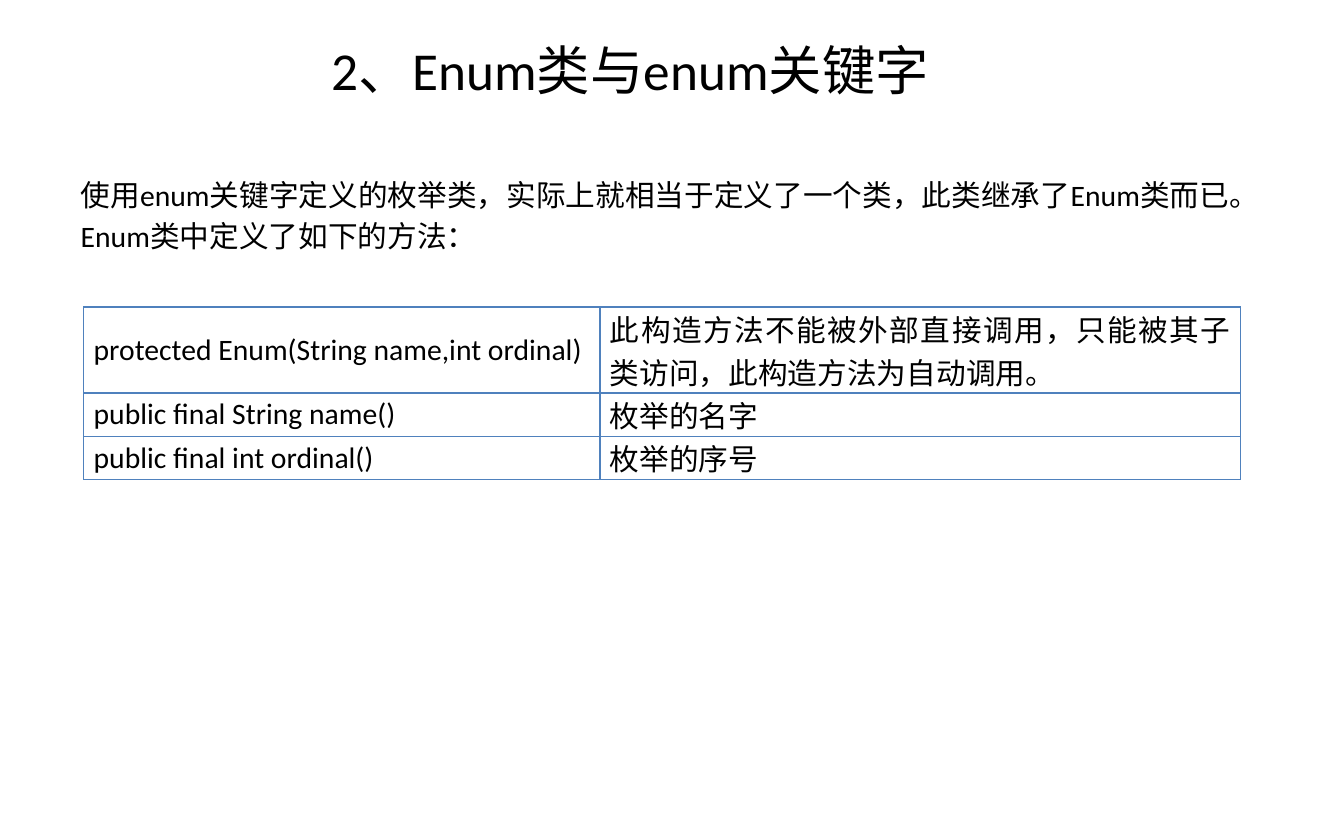
from lxml.etree import SubElement
from pptx import Presentation
from pptx.dml.color import RGBColor
from pptx.enum.text import MSO_ANCHOR, PP_ALIGN
from pptx.oxml.ns import qn
from pptx.util import Emu, Pt

BLACK = RGBColor(0x00, 0x00, 0x00)
WHITE = RGBColor(0xFF, 0xFF, 0xFF)
BLUE = RGBColor(0x4F, 0x81, 0xBD)

TITLE = "2、Enum类与enum关键字"
BODY = [
    "使用enum关键字定义的枚举类，实际上就相当于定义了一个类，此类继承了Enum类而已。",
    "Enum类中定义了如下的方法：",
]
METHODS = [
    ("protected Enum(String name,int ordinal)",
     "此构造方法不能被外部直接调用，只能被其子类访问，此构造方法为自动调用。"),
    ("public final String name()", "枚举的名字"),
    ("public final int ordinal()", "枚举的序号"),
]


def px(n):
    return Emu(n * 3175)


class SlideBuilder:
    font = "Calibri"

    def __init__(self, prs):
        self.s = prs.slides.add_slide(prs.slide_layouts[6])
        self.s.background.fill.solid()
        self.s.background.fill.fore_color.rgb = WHITE

    def run(self, p, text, size, align):
        p.alignment = align
        r = p.add_run()
        r.text = text
        r.font.name = self.font
        r.font.size = Pt(size)
        r.font.color.rgb = BLACK

    def text(self, box, lines, size, align=PP_ALIGN.LEFT,
             anchor=MSO_ANCHOR.TOP, hanging=0):
        sp = self.s.shapes.add_textbox(*map(px, box))
        tf = sp.text_frame
        tf.word_wrap = True
        tf.vertical_anchor = anchor
        tf.margin_left = tf.margin_right = px(37)
        tf.margin_top = tf.margin_bottom = px(19)
        for i, line in enumerate(lines):
            p = tf.add_paragraph() if i else tf.paragraphs[0]
            self.run(p, line, size, align)
            if i:
                p.space_before = Pt(size * 0.2)
            if hanging:
                pPr = p._p.get_or_add_pPr()
                pPr.set("marL", str(px(hanging)))
                pPr.set("indent", str(-px(hanging)))

    def border(self, cell):
        tcPr = cell._tc.get_or_add_tcPr()
        for side in ("a:lnL", "a:lnR", "a:lnT", "a:lnB"):
            ln = SubElement(tcPr, qn(side), w=str(Pt(1)))
            fill = SubElement(ln, qn("a:solidFill"))
            SubElement(fill, qn("a:srgbClr"), val=str(BLUE))

    def table(self, left, top, widths, heights, rows, size):
        box = left, top, sum(widths), sum(heights)
        table = self.s.shapes.add_table(
            len(rows), len(widths), *map(px, box)).table
        table.first_row = table.horz_banding = False
        for column, width in zip(table.columns, widths):
            column.width = px(width)
        for row, height, texts in zip(table.rows, heights, rows):
            row.height = px(height)
            for cell, text, align in zip(
                    row.cells, texts, (PP_ALIGN.LEFT, PP_ALIGN.JUSTIFY)):
                cell.margin_left = cell.margin_right = px(27)
                cell.margin_top = cell.margin_bottom = 0
                cell.vertical_anchor = MSO_ANCHOR.MIDDLE
                self.border(cell)
                cell.fill.background()
                self.run(cell.text_frame.paragraphs[0], text, size, align)


def main():
    prs = Presentation()
    prs.slide_width, prs.slide_height = px(3629), px(2268)
    slide = SlideBuilder(prs)
    slide.text((455, 92, 2494, 190), [TITLE], 36,
               PP_ALIGN.CENTER, MSO_ANCHOR.MIDDLE)
    slide.text((181, 458, 3266, 1529), BODY, 20, hanging=141)
    slide.table(226, 829, (1394, 1730), (232, 117, 117), METHODS, 20)
    prs.save("out.pptx")


if __name__ == "__main__":
    main()
